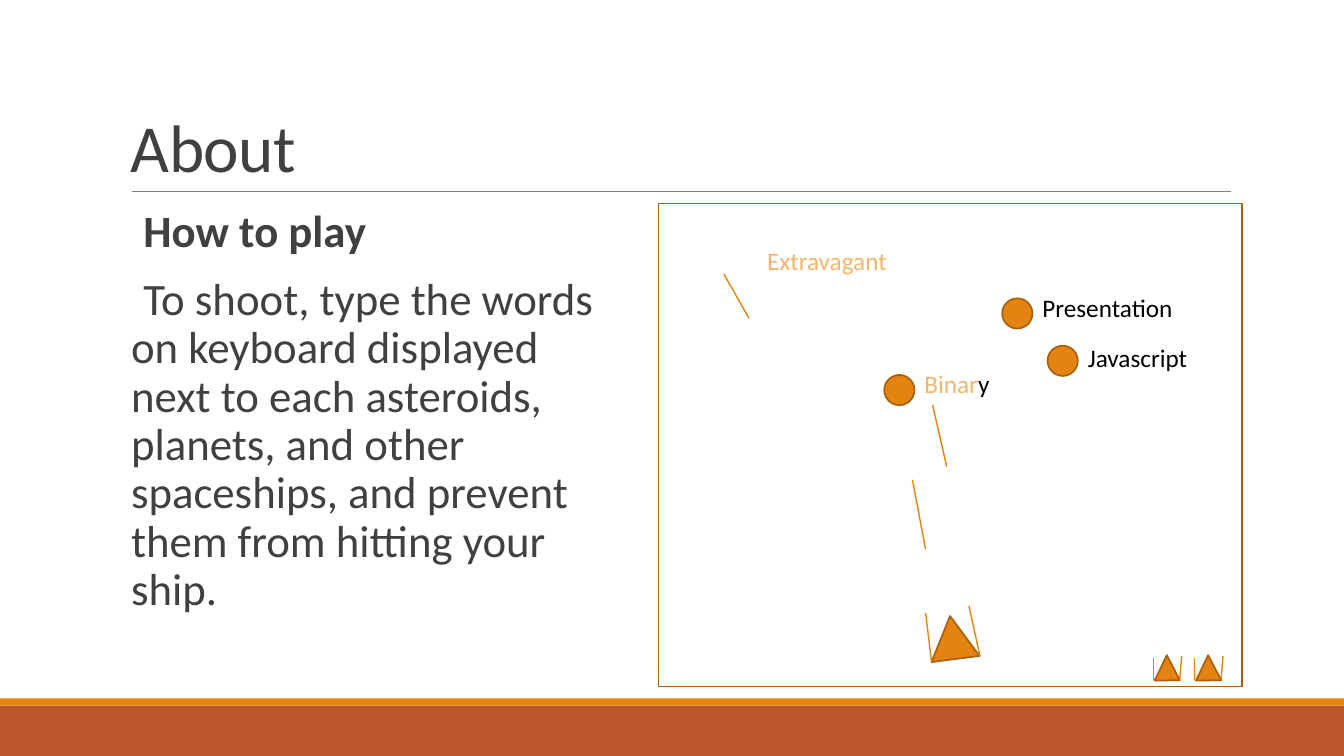
from pptx import Presentation
from pptx import util as u
from pptx.dml.color import RGBColor
from pptx.enum import shapes, text
from lxml import etree

PX = 9144  # 100 px to the inch
THEME = {
    "font": "Calibri", "title": 48, "body": 32, "label": 18,
    "ink": "404040", "black": "000000", "typed": "F3B56C", "rule": "808080",
    "orange": "E48312", "edge": "A9610D", "rust": "BD582C",
}
A = "{http://schemas.openxmlformats.org/drawingml/2006/main}"
FIGURE = shapes.MSO_SHAPE


def draw_shape(holder, kind, area, fill=None, line=None, turn=0):
    shape = holder.add_shape(kind, *(n * PX for n in area))
    shape.shadow.inherit = False
    shape.rotation = turn
    if fill:
        shape.fill.solid()
        shape.fill.fore_color.rgb = RGBColor.from_string(THEME[fill])
    else:
        shape.fill.background()
    if line:
        shape.line.color.rgb = RGBColor.from_string(THEME[line])
        shape.line.width = u.Pt(1.25)
    else:
        shape.line.fill.background()


def write_text(holder, area, size, paragraphs):
    """Each paragraph is a list of (words, colour) spans."""
    box = holder.add_textbox(*(n * PX for n in area))
    frame = box.text_frame
    frame.word_wrap = True
    for index, spans in enumerate(paragraphs):
        para = frame.paragraphs[0] if index == 0 else frame.add_paragraph()
        para.font.name = THEME["font"]
        para.font.size = u.Pt(THEME[size])
        for words, colour in spans:
            span = para.add_run()
            span.text = words
            span.font.color.rgb = RGBColor.from_string(THEME[colour])
    return frame


deck = Presentation()
deck.slide_width, deck.slide_height = 1333 * PX, 750 * PX
page = deck.slides.add_slide(deck.slide_layouts[6])

# Footer bands
draw_shape(page.shapes, FIGURE.RECTANGLE, (0, 700, 1333, 50), "rust")
draw_shape(page.shapes, FIGURE.RECTANGLE, (0, 693, 1333, 7), "orange")

# Title
title = write_text(page.shapes, (120, 31, 1100, 159), "title", [[("About", "ink")]])
title.vertical_anchor = text.MSO_ANCHOR.BOTTOM
title.paragraphs[0].line_spacing = 0.85
title.paragraphs[0].runs[0].font._element.set("spc", "-50")

# Instructions
body = write_text(page.shapes, (120, 202, 503, 440), "body", [
    [("How to play", "ink")],
    [("To shoot, type the words on keyboard displayed next to each asteroids, "
      "planets, and other spaceships, and prevent them from hitting your ship.", "ink")],
])
body.margin_left = body.margin_right = 0
for para in body.paragraphs:
    layout = para._p.get_or_add_pPr()
    layout.set("marL", str(10 * PX))
    layout.set("indent", str(-10 * PX))
    para.line_spacing = 0.9
    para.space_after = u.Pt(2)
    if para is not body.paragraphs[0] and para.text != "How to play":
        para.space_before = u.Pt(12)
    bullet = etree.Element(A + "buChar", char=" ")
    layout.insert_element_before(bullet, "a:tabLst", "a:defRPr", "a:extLst")
body.paragraphs[0].font.bold = True

# Game screen and player's ship
draw_shape(page.shapes, FIGURE.RECTANGLE, (653, 202, 579, 479), line="edge")
draw_shape(page.shapes, FIGURE.ISOSCELES_TRIANGLE, (921, 611, 48, 43),
           "orange", "edge", turn=352.7)

# Words to type, each beside its target
write_text(page.shapes, (751, 238, 148, 40), "label", [[("Extravagant", "typed")]])
for left, top, label_top, label_width, spans in [
    (877, 372, 361, 148, [("Binar", "typed"), ("y", "black")]),
    (1039, 343, 335, 148, [("Javascript", "black")]),
    (994, 296, 285, 162, [("Presentation", "black")]),
]:
    target = page.shapes.add_group_shape().shapes
    draw_shape(target, FIGURE.OVAL, (left, top, 30, 30), "orange", "edge")
    write_text(target, (left + 30, label_top, label_width, 40), "label", [spans])

# Title rule, shots and the player's ship wings
strokes = [(page.shapes, (131, 190, 1221, 190), "rule", 0.5)]
for ends in [(972, 651, 961, 601), (924, 657, 918, 608), (939, 463, 925, 402),
             (718, 272, 743, 316), (918, 545, 905, 476)]:
    strokes.append((page.shapes, ends, "orange", 1))

# Spare ships
for left in (1145, 1186):
    ship = page.shapes.add_group_shape().shapes
    draw_shape(ship, FIGURE.ISOSCELES_TRIANGLE, (left, 650, 25, 25),
               "orange", "edge", turn=359.1)
    strokes.append((ship, (left + 25, 674, left + 27, 651), "orange", 1))
    strokes.append((ship, (left - 1, 675, left - 1, 653), "orange", 1))

# Lines
for holder, ends, colour, width in strokes:
    line = holder.add_connector(shapes.MSO_CONNECTOR.STRAIGHT, *(n * PX for n in ends))
    line.line.color.rgb = RGBColor.from_string(THEME[colour])
    line.line.width = u.Pt(width)
    etree.SubElement(line._element.spPr, A + "effectLst")

deck.save("out.pptx")
